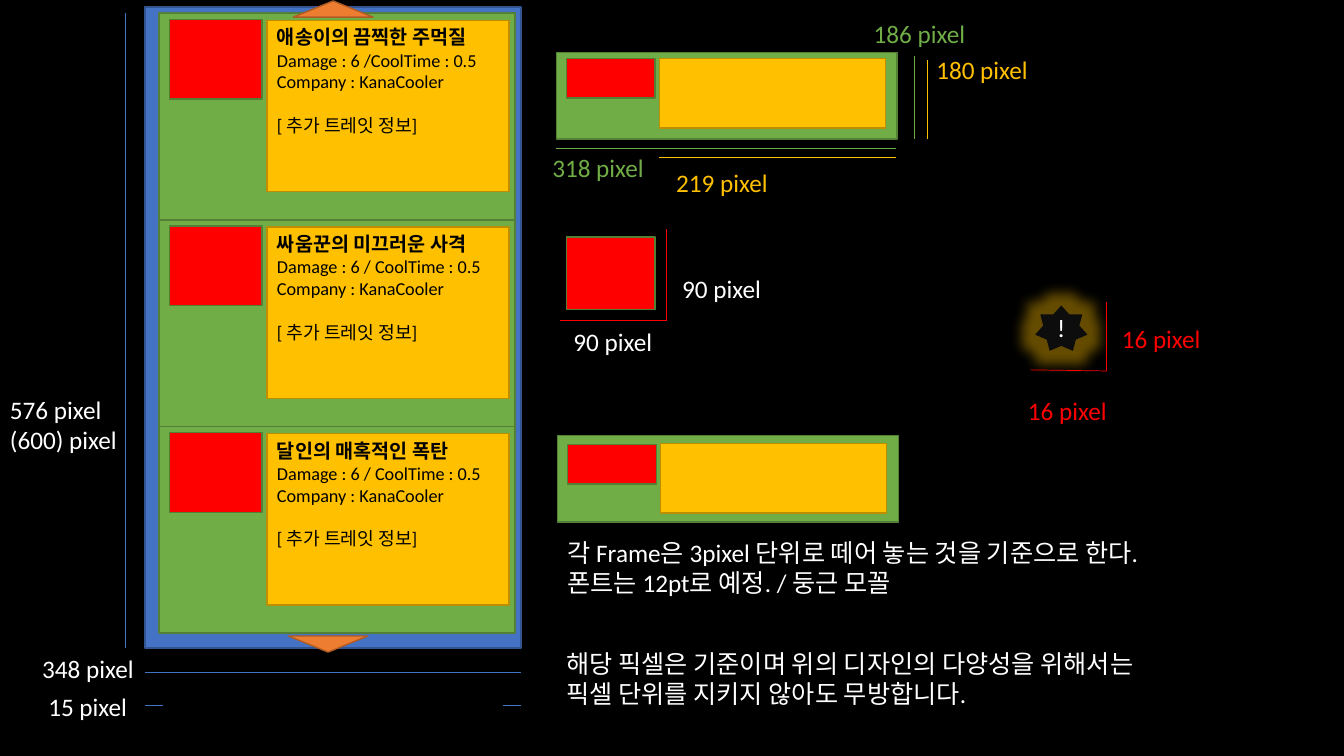
import pptx
import pptx.dml.color
import pptx.enum.shapes
import pptx.enum.text
import pptx.oxml
import pptx.oxml.ns
import pptx.util

Pt = pptx.util.Pt
SHAPES = pptx.enum.shapes.MSO_SHAPE
TEXT = pptx.enum.text

WHITE, BLACK, RED = "FFFFFF", "000000", "FF0000"
BLUE, GREEN, AMBER, ORANGE = "4472C4", "70AD47", "FFC000", "ED7D31"
DARK_BLUE, DARK_GREEN, DARK_AMBER, DARK_ORANGE = "325491", "538035", "BD8E00", "AF5C24"


def rgb(hex_color):
    return pptx.dml.color.RGBColor.from_string(hex_color)


class SlideBuilder:
    font = "Calibri"
    label_size = 18

    def __init__(self, slide):
        self.slide = slide
        slide.background.fill.solid()
        slide.background.fill.fore_color.rgb = rgb(BLACK)

    def format_runs(self, paragraph, size, color, bold=False):
        for run in paragraph.runs:
            run.font.name = self.font
            run.font.size = Pt(size)
            run.font.bold = bold
            run.font.color.rgb = rgb(color)

    def shape(self, box, fill, outline=None, kind=SHAPES.RECTANGLE):
        shape = self.slide.shapes.add_shape(kind, *map(Pt, box))
        shape.shadow.inherit = False
        shape.fill.solid()
        shape.fill.fore_color.rgb = rgb(fill)
        if outline:
            shape.line.color.rgb = rgb(outline)
            shape.line.width = Pt(1)
        else:
            shape.line.fill.background()
        return shape

    def line(self, start, end, color):
        connector = self.slide.shapes.add_connector(
            pptx.enum.shapes.MSO_CONNECTOR.STRAIGHT, *map(Pt, start + end))
        connector.line.color.rgb = rgb(color)
        connector.line.width = Pt(0.5)
        properties = connector._element.spPr
        properties.append(pptx.oxml.parse_xml(
            f"<a:effectLst {pptx.oxml.ns.nsdecls('a')}/>"))

    def label(self, box, text, color=WHITE):
        text_frame = self.slide.shapes.add_textbox(*map(Pt, box)).text_frame
        text_frame.word_wrap = False
        text_frame.auto_size = TEXT.MSO_AUTO_SIZE.SHAPE_TO_FIT_TEXT
        text_frame.text = text
        for paragraph in text_frame.paragraphs:
            self.format_runs(paragraph, self.label_size, color)

    def trait_card(self, top, title, stats):
        self.shape((113.6, top, 254.2, 147.6), GREEN, DARK_GREEN)
        self.shape((121, top + 4.5, 66.2, 56.9), RED, DARK_GREEN)
        info = self.shape((190.8, top + 5.2, 172.8, 122.4), AMBER, DARK_AMBER)
        text_frame = info.text_frame
        text_frame.vertical_anchor = TEXT.MSO_ANCHOR.TOP
        text_frame.text = "\n".join(
            [title, stats, "Company : KanaCooler", "[ 추가 트레잇 정보]"])
        for paragraph in text_frame.paragraphs:
            paragraph.alignment = TEXT.PP_ALIGN.LEFT
            self.format_runs(paragraph, 13, BLACK)
        self.format_runs(text_frame.paragraphs[0], 14, BLACK, bold=True)
        text_frame.paragraphs[-1].space_before = Pt(15.6)

    def frame_preview(self, left, top, photo_drop, info_drop):
        """Draw a small frame with a photo box and an info box inside."""
        self.shape((left, top, 243.4, 61.9), GREEN, DARK_GREEN)
        self.shape((left + 7.2, top + photo_drop, 63.4, 28.3), RED, DARK_GREEN)
        self.shape((left + 73.8, top + info_drop, 161.3, 49.7), AMBER, DARK_AMBER)

    def glowing_badge(self, box, text):
        badge = self.shape(box, "0D0D0D", kind=SHAPES.STAR_7_POINT)
        effects = badge._element.spPr.find(pptx.oxml.ns.qn("a:effectLst"))
        effects.append(pptx.oxml.parse_xml(
            f"<a:glow {pptx.oxml.ns.nsdecls('a')} rad='{Pt(18)}'>"
            f"<a:srgbClr val='{AMBER}'><a:alpha val='40000'/></a:srgbClr></a:glow>"))
        text_frame = badge.text_frame
        text_frame.vertical_anchor = TEXT.MSO_ANCHOR.MIDDLE
        text_frame.text = text
        text_frame.paragraphs[0].alignment = TEXT.PP_ALIGN.CENTER
        self.format_runs(text_frame.paragraphs[0], self.label_size, WHITE)


def draw_trait_panel(builder):
    builder.shape((103.7, 5, 268.6, 457.9), BLUE, DARK_BLUE)
    cards = [
        ("애송이의 끔찍한 주먹질", "Damage : 6 /CoolTime : 0.5"),
        ("싸움꾼의 미끄러운 사격", "Damage : 6 / CoolTime : 0.5"),
        ("달인의 매혹적인 폭탄", "Damage : 6 / CoolTime : 0.5"),
    ]
    for index, (title, stats) in enumerate(cards):
        builder.trait_card(9.4 + index * 147.6, title, stats)
    scroll_down = builder.shape((205.9, 454.3, 56.9, 11.5), ORANGE, DARK_ORANGE,
                                SHAPES.ISOSCELES_TRIANGLE)
    scroll_down.rotation = 180
    builder.shape((209.5, 0.7, 56.9, 11.5), ORANGE, DARK_ORANGE,
                  SHAPES.ISOSCELES_TRIANGLE)


def draw_dimensions(builder):
    lines = [
        ((103.7, 480.2), (372.2, 480.2), BLUE),
        ((89.3, 9.4), (89.3, 463), BLUE),
        ((103.7, 504), (116.6, 504), BLUE),
        ((359.3, 504), (372.2, 504), BLUE),
        ((397.4, 105.8), (640.1, 105.8), GREEN),
        ((653, 40.3), (653, 99.4), GREEN),
        ((470.9, 112.3), (640.1, 112.3), AMBER),
        ((662.4, 99.4), (662.4, 43.2), AMBER),
        ((400.3, 229), (475.9, 229), RED),
        ((475.9, 229), (475.9, 163.4), RED),
        ((735.8, 264.2), (790.6, 265), RED),
        ((790.6, 265), (790.6, 216), RED),
    ]
    for start, end, color in lines:
        builder.line(start, end, color)

    labels = [
        ((23, 463, 80.6, 28.8), "348 pixel", WHITE),
        ((0, 277.9, 92.2, 51.1), "576 pixel\n(600) pixel", WHITE),
        ((27.4, 490.3, 71.3, 28.8), "15 pixel", WHITE),
        ((387.4, 105.1, 80.6, 28.8), "318 pixel", GREEN),
        ((617, 9.4, 80.6, 28.8), "186 pixel", GREEN),
        ((475.9, 115.9, 80.6, 28.8), "219 pixel", AMBER),
        ((661.7, 35.3, 80.6, 28.8), "180 pixel", AMBER),
        ((402.5, 229.7, 71.3, 28.8), "90 pixel", WHITE),
        ((480.2, 191.5, 71.3, 28.8), "90 pixel", WHITE),
        ((727.2, 278.6, 71.3, 28.8), "16 pixel", RED),
        ((794.2, 227.5, 71.3, 28.8), "16 pixel", RED),
    ]
    for box, text, color in labels:
        builder.label(box, text, color)


def main():
    presentation = pptx.Presentation()
    presentation.slide_width = Pt(960)
    presentation.slide_height = Pt(540)
    builder = SlideBuilder(presentation.slides.add_slide(presentation.slide_layouts[6]))

    draw_trait_panel(builder)
    builder.frame_preview(397.4, 37.4, photo_drop=4.3, info_drop=4.3)
    builder.frame_preview(398.2, 311, photo_drop=6.5, info_drop=5.8)
    builder.shape((404.6, 169.2, 63.4, 51.8), RED, DARK_GREEN)
    builder.glowing_badge((739.4, 218.2, 37.4, 32.4), "!")
    draw_dimensions(builder)
    builder.label((398.2, 380.2, 451.4, 51.1),
                  "각 Frame은 3pixel 단위로 떼어 놓는 것을 기준으로 한다.\n"
                  "폰트는 12pt로 예정. / 둥근 모꼴")
    builder.label((397.4, 459.4, 475.9, 51.1),
                  "해당 픽셀은 기준이며 위의 디자인의 다양성을 위해서는\n"
                  "픽셀 단위를 지키지 않아도 무방합니다.")
    presentation.save("out.pptx")


if __name__ == "__main__":
    main()
